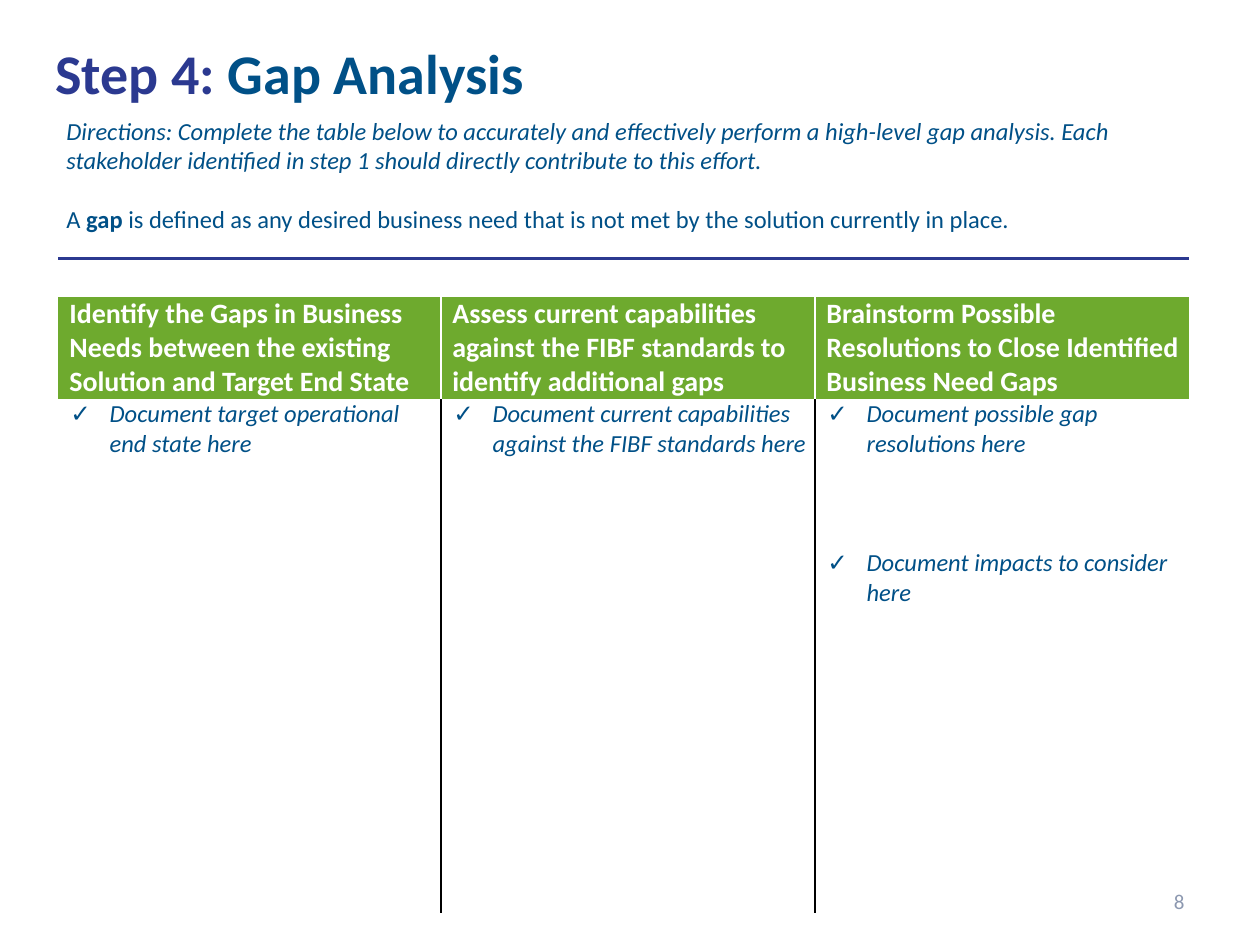
from lxml import etree
from pptx import Presentation
from pptx import util as u
from pptx.dml.color import RGBColor
from pptx.enum import text
from pptx.oxml import ns

INDIGO = RGBColor(0x2B, 0x39, 0x90)
NAVY = RGBColor(0x00, 0x50, 0x87)
GREEN = RGBColor(0x6E, 0xAA, 0x2E)
GREY = RGBColor(0x8C, 0x98, 0xB0)
WHITE = RGBColor(0xFF, 0xFF, 0xFF)
BLACK = RGBColor(0x00, 0x00, 0x00)


def add_span(para, words, size=14, color=NAVY, bold=False, italic=False, font="Calibri"):
    span = para.add_run()
    span.text = words
    span.font.name = font
    span.font.size = u.Pt(size)
    span.font.bold = bold
    span.font.italic = italic
    span.font.color.rgb = color


def set_indent(para, left, hanging=0, bullet=None):
    props = para._p.get_or_add_pPr()
    props.set("marL", str(u.Cm(left)))
    props.set("indent", str(-u.Cm(hanging)))
    if bullet:
        etree.SubElement(props, ns.qn("a:buFont"), typeface="Arial")
        etree.SubElement(props, ns.qn("a:buChar"), char=bullet)


def set_borders(cell, **sides):
    """Draw the named sides (L, R, T, B) as (color, width); leave the others bare."""
    props = cell._tc.get_or_add_tcPr()
    for place, side in enumerate("LRTB"):
        color, width = sides.get(side, (None, 1))
        line = etree.Element(ns.qn(f"a:ln{side}"), w=str(u.Pt(width)))
        if color is None:
            etree.SubElement(line, ns.qn("a:noFill"))
        else:
            fill = etree.SubElement(line, ns.qn("a:solidFill"))
            etree.SubElement(fill, ns.qn("a:srgbClr"), val=str(color))
        props.insert(place, line)


class PageBuilder:
    def __init__(self, deck):
        self.page = deck.slides.add_slide(deck.slide_layouts[6])

    def text_box(self, left, top, width, height, inset=True):
        box = self.page.shapes.add_textbox(u.Cm(left), u.Cm(top), u.Cm(width), u.Cm(height))
        frame = box.text_frame
        frame.word_wrap = True
        if not inset:
            frame.margin_left = frame.margin_right = frame.margin_top = frame.margin_bottom = 0
        return frame

    def table(self, left, top, widths, heights):
        grid = self.page.shapes.add_table(
            len(heights), len(widths), u.Cm(left), u.Cm(top),
            u.Cm(sum(widths)), u.Cm(sum(heights))).table
        grid.first_row = grid.horz_banding = False
        for column, width in zip(grid.columns, widths):
            column.width = u.Cm(width)
        for row, height in zip(grid.rows, heights):
            row.height = u.Cm(height)
        for cell in grid.iter_cells():
            cell.margin_left = cell.margin_right = cell.margin_top = cell.margin_bottom = 0
            cell.fill.background()
        return grid

    def header_cell(self, cell, words):
        cell.vertical_anchor = text.MSO_ANCHOR.MIDDLE
        cell.fill.solid()
        cell.fill.fore_color.rgb = GREEN
        para = cell.text_frame.paragraphs[0]
        set_indent(para, 0.23)
        add_span(para, words, size=16, color=WHITE, bold=True)

    def check_list(self, cell, items, gap):
        frame = cell.text_frame
        for number, words in enumerate(items):
            para = frame.add_paragraph() if number else frame.paragraphs[0]
            if number:
                para.space_before = u.Pt(gap)
            set_indent(para, 1.04, hanging=0.79, bullet="✓")
            add_span(para, words, italic=True)


def main():
    deck = Presentation()
    deck.slide_width, deck.slide_height = u.Cm(25.4), u.Cm(19.05)
    builder = PageBuilder(deck)

    # Page number
    frame = builder.text_box(18.21, 17.65, 5.92, 1.02)
    frame.vertical_anchor = text.MSO_ANCHOR.MIDDLE
    para = frame.paragraphs[0]
    para.alignment = text.PP_ALIGN.RIGHT
    add_span(para, "8", size=12, color=GREY)

    # Title
    para = builder.text_box(1.11, 0.91, 22.81, 1.24, inset=False).paragraphs[0]
    para.line_spacing = u.Pt(34.6)
    add_span(para, "Step 4: ", size=32, color=INDIGO, bold=True)
    add_span(para, "Gap Analysis", size=32, bold=True)

    # Gap table: a ruled spacer row, headers, then lists
    columns = [
        ("Identify the Gaps in Business Needs between the existing Solution and Target End State",
         ["Document target operational end state here"]),
        ("Assess current capabilities against the FIBF standards to identify additional gaps",
         ["Document current capabilities against the FIBF standards here"]),
        ("Brainstorm Possible Resolutions to Close Identified Business Need Gaps",
         ["Document possible gap resolutions here", "Document impacts to consider here"]),
    ]
    grid = builder.table(1.17, 5.21, [7.72, 7.54, 7.54], [0.74, 2.08, 10.36])
    for index, (header, items) in enumerate(columns):
        spacer, head, body = (grid.cell(row, index) for row in range(3))
        inner = [side for side, shown in (("L", index > 0), ("R", index < len(columns) - 1))
                 if shown]
        add_span(spacer.text_frame.paragraphs[0], "", size=12)
        set_borders(spacer, T=(INDIGO, 1.56), B=(WHITE, 1))
        builder.header_cell(head, header)
        set_borders(head, T=(WHITE, 1), **{side: (WHITE, 1) for side in inner})
        builder.check_list(body, items, gap=51)
        set_borders(body, **{side: (BLACK, 1) for side in inner})

    # Directions and definition
    frame = builder.text_box(1.09, 2.21, 22.81, 3.25)
    add_span(frame.paragraphs[0],
             "Directions: Complete the table below to accurately and effectively perform a "
             "high-level gap analysis. Each stakeholder identified in step 1 should directly "
             "contribute to this effort.", italic=True)
    para = frame.add_paragraph()
    para.space_before = u.Pt(17)
    add_span(para, "A ")
    add_span(para, "gap ", bold=True)
    add_span(para, "is defined as any desired business need that is not met by the solution "
                   "currently in place.")

    deck.save("out.pptx")


if __name__ == "__main__":
    main()
